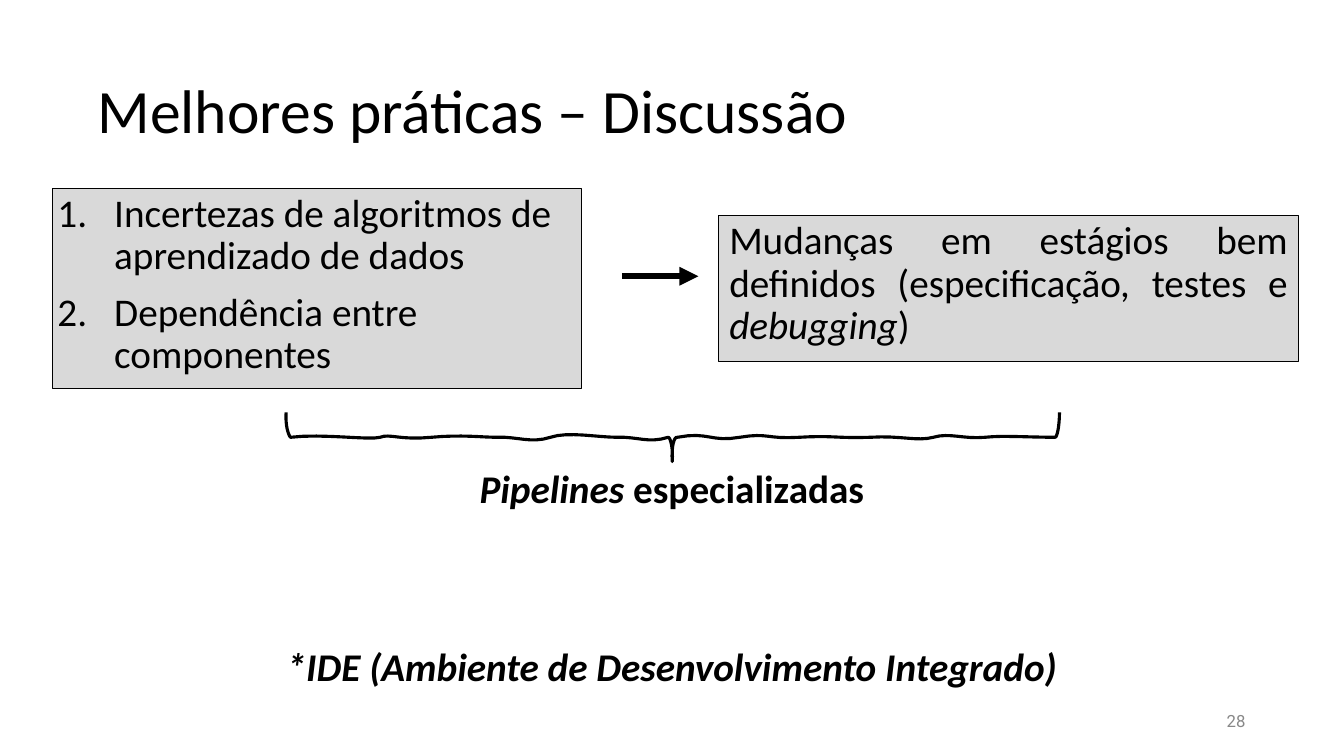
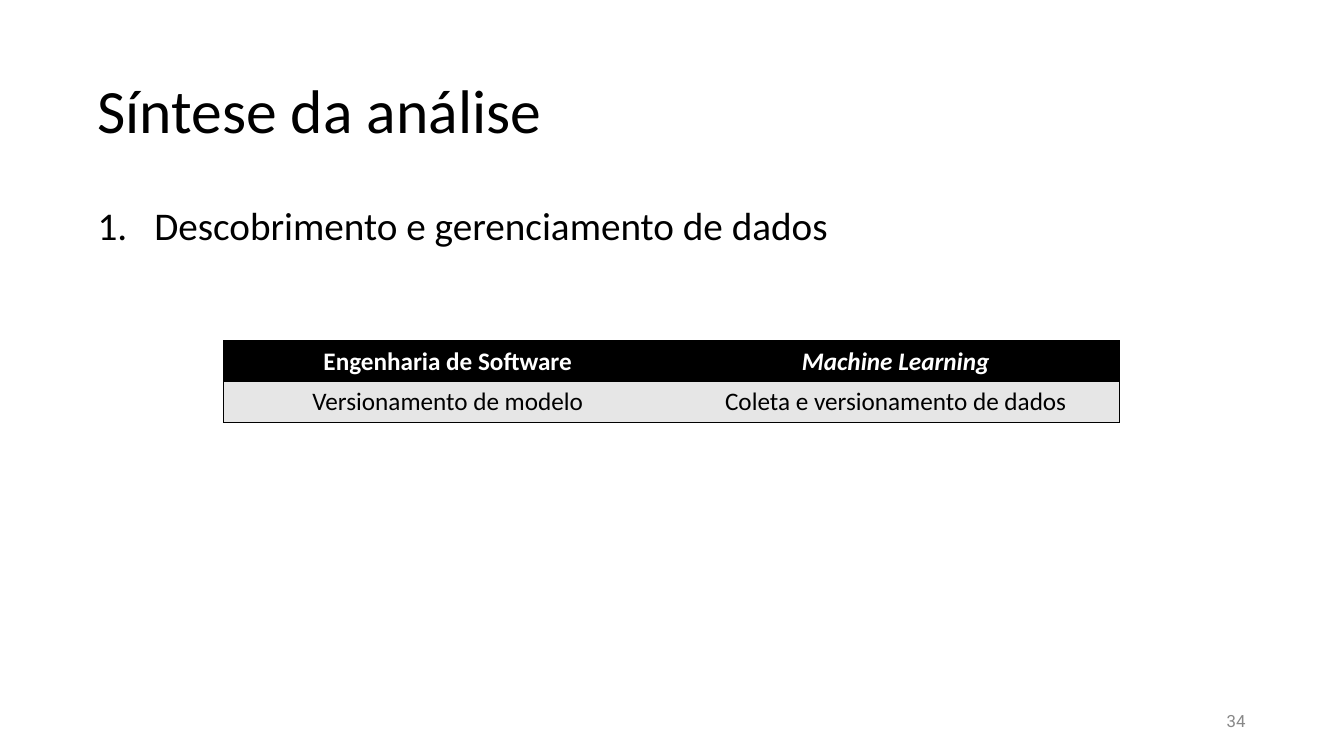
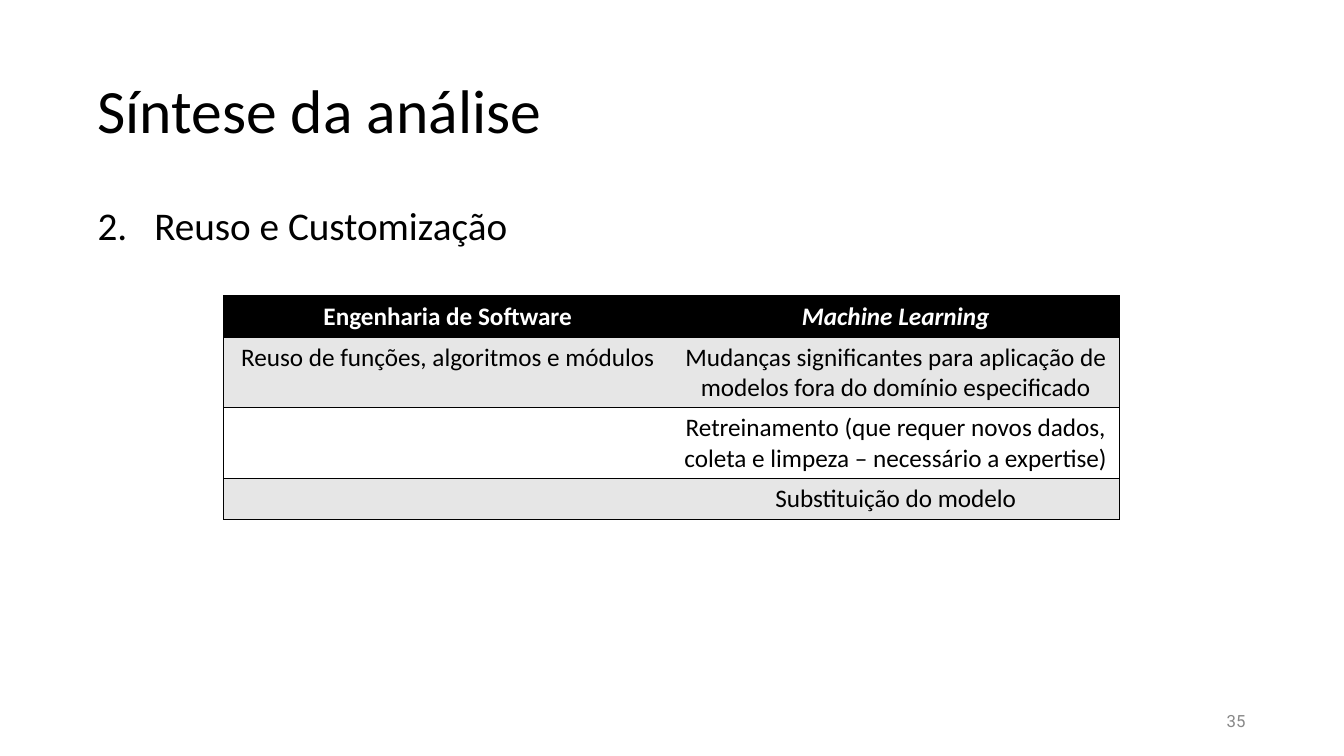
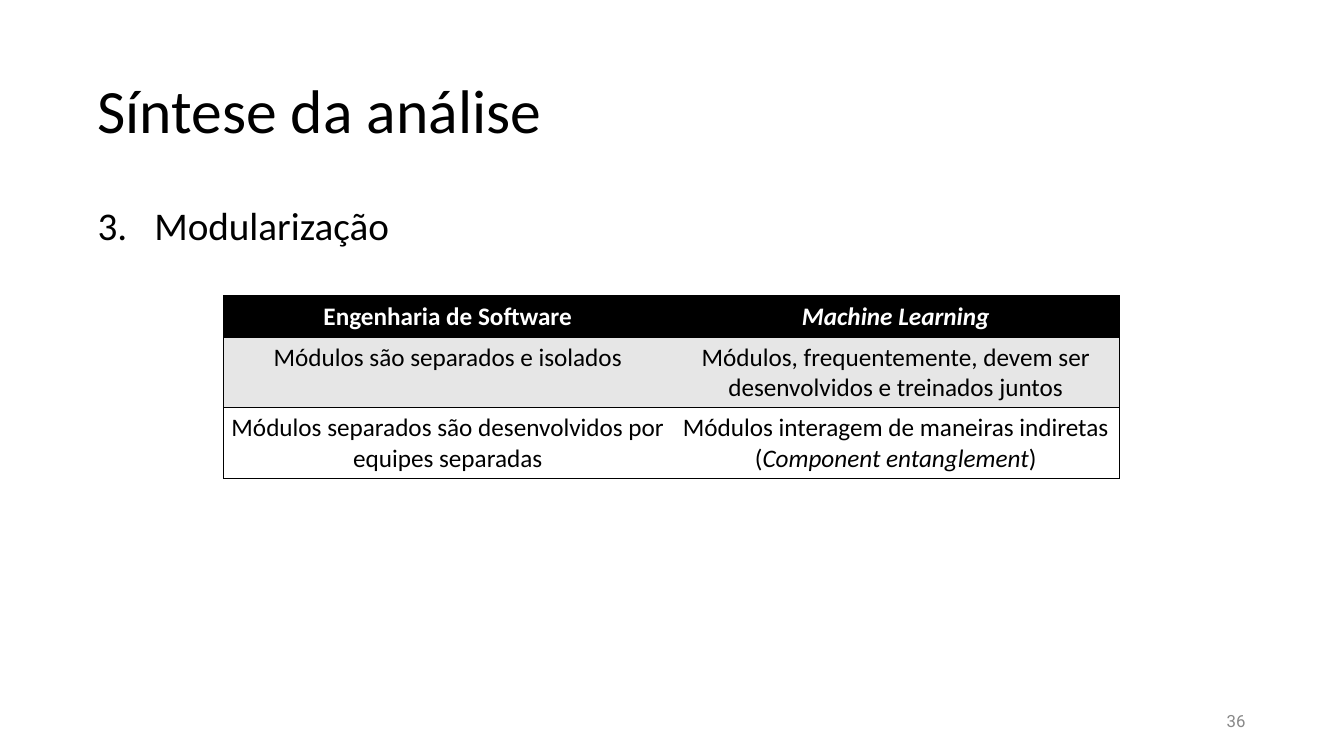
import pptx
import pptx.dml.color
import pptx.enum.shapes
import pptx.enum.text
import pptx.oxml
import pptx.oxml.ns
import pptx.util

Cm = pptx.util.Cm
Pt = pptx.util.Pt
RGBColor = pptx.dml.color.RGBColor
Align = pptx.enum.text.PP_ALIGN
Anchor = pptx.enum.text.MSO_ANCHOR
qn = pptx.oxml.ns.qn

BLACK = RGBColor(0x00, 0x00, 0x00)
WHITE = RGBColor(0xFF, 0xFF, 0xFF)
PANEL_GREY = RGBColor(0xD9, 0xD9, 0xD9)
BAND_GREY = RGBColor(0xE6, 0xE6, 0xE6)
NUMBER_GREY = RGBColor(0x88, 0x88, 0x88)

BODY_FONT = "Calibri"
NUMBER_FONT = "Roboto"
INSET = Cm(0.13)
INDENT = Cm(1.43)
CONTENT_LEFT, CONTENT_WIDTH = Cm(2.33), Cm(29.21)
TABLE_LEFT, COLUMN_WIDTH, ROW_HEIGHT = Cm(5.64), Cm(11.29), Cm(1.03)
CURVE_STEPS = 8

# Underscores delimit italic text.
DISCUSSION = {
    "title": "Melhores práticas – Discussão",
    "number": 28,
    "causes": [
        "Incertezas de algoritmos de aprendizado de dados",
        "Dependência entre componentes",
    ],
    "effect": "Mudanças em estágios bem definidos (especificação, testes e _debugging_)",
    "captions": [
        (Cm(11.71), "_Pipelines_ especializadas"),
        (Cm(16.18), "_*IDE (Ambiente de Desenvolvimento Integrado)_"),
    ],
}

SYNTHESIS_TITLE = "Síntese da análise"
TABLE_HEADER = ("Engenharia de Software", "_Machine Learning_")
SYNTHESIS = [
    (34, "Descobrimento e gerenciamento de dados", Cm(8.59), [
        ("Versionamento de modelo", "Coleta e versionamento de dados"),
    ]),
    (35, "Reuso e Customização", Cm(7.46), [
        ("Reuso de funções, algoritmos e módulos",
         "Mudanças significantes para aplicação de modelos fora do domínio especificado"),
        ("", "Retreinamento (que requer novos dados, coleta e limpeza – necessário a expertise)"),
        ("", "Substituição do modelo"),
    ]),
    (36, "Modularização", Cm(7.46), [
        ("Módulos são separados e isolados",
         "Módulos, frequentemente, devem ser desenvolvidos e treinados juntos"),
        ("Módulos separados são desenvolvidos por equipes separadas",
         "Módulos interagem de maneiras indiretas (_Component entanglement_)"),
    ]),
]

BRACE_START = (26.70, 10.39)
BRACE_CURVES = [
    ((26.70, 10.74), (26.64, 11.02), (26.59, 11.02)),
    ((25.81, 11.02), (25.35, 10.97), (24.82, 11.02)),
    ((24.28, 11.07), (23.93, 10.90), (23.52, 11.02)),
    ((23.11, 11.13), (22.71, 10.97), (21.92, 11.02)),
    ((21.13, 11.05), (20.98, 10.97), (20.14, 11.02)),
    ((19.30, 11.07), (19.38, 10.90), (18.64, 11.02)),
    ((17.91, 11.15), (17.86, 10.87), (17.07, 11.02)),
    ((16.99, 11.00), (16.92, 11.23), (16.94, 11.63)),
    ((16.97, 11.28), (16.89, 11.02), (16.84, 11.02)),
    ((16.33, 11.18), (16.08, 11.00), (15.54, 11.02)),
    ((15.04, 11.02), (14.33, 10.87), (13.87, 11.02)),
    ((13.39, 11.18), (13.03, 11.00), (12.55, 11.02)),
    ((12.09, 11.02), (11.66, 10.95), (10.87, 11.02)),
    ((10.08, 11.10), (9.83, 10.92), (9.58, 11.02)),
    ((9.30, 11.10), (8.13, 10.92), (7.32, 11.02)),
    ((7.26, 10.95), (7.19, 10.72), (7.21, 10.39)),
]


def fill_paragraph(paragraph, text, size, color=BLACK, font=BODY_FONT, bold=False,
                   align=Align.LEFT, spacing=0.9, number=None):
    paragraph.alignment = align
    paragraph.line_spacing = spacing
    if number:
        properties = paragraph._p.get_or_add_pPr()
        properties.set("marL", str(INDENT))
        properties.set("indent", str(-INDENT))
        bullet = pptx.oxml.parse_xml(
            f'<a:buAutoNum {pptx.oxml.ns.nsdecls("a")} type="arabicPeriod" startAt="{number}"/>')
        properties.append(bullet)
    paragraph.font.name = font
    paragraph.font.size = Pt(size)
    paragraph.font.bold = bold
    paragraph.font.color.rgb = color
    for position, part in enumerate(text.split("_")):
        if part:
            run = paragraph.add_run()
            run.text = part
            if position % 2:
                run.font.italic = True


def fill_frame(shape, texts, size, anchor=Anchor.TOP, side_inset=INSET, start=None, **style):
    frame = shape.text_frame
    frame.word_wrap = True
    frame.vertical_anchor = anchor
    frame.margin_left = frame.margin_right = side_inset
    frame.margin_top = frame.margin_bottom = INSET
    for index, text in enumerate(texts):
        paragraph = frame.add_paragraph() if index else frame.paragraphs[0]
        if index:
            paragraph.space_before = Pt(10)
        fill_paragraph(paragraph, text, size, number=start, **style)


def add_text(slide, box, text, size, **style):
    fill_frame(slide.shapes.add_textbox(*box), [text], size, **style)


def add_panel(slide, box, texts, **style):
    panel = slide.shapes.add_shape(pptx.enum.shapes.MSO_SHAPE.RECTANGLE, *box)
    panel.shadow.inherit = False
    panel.fill.solid()
    panel.fill.fore_color.rgb = PANEL_GREY
    panel.line.color.rgb = BLACK
    panel.line.width = Pt(0.75)
    fill_frame(panel, texts, 28, **style)


def add_arrow(slide, start, end):
    arrow = slide.shapes.add_connector(pptx.enum.shapes.MSO_CONNECTOR.STRAIGHT, *start, *end)
    arrow.line.color.rgb = BLACK
    arrow.line.width = Pt(4.5)
    head = arrow.line._get_or_add_ln().makeelement(qn("a:tailEnd"), {"type": "triangle"})
    arrow.line._get_or_add_ln().append(head)
    properties = arrow._element.spPr
    properties.append(properties.makeelement(qn("a:effectLst"), {}))


def curve_points(start, curves):
    for first, second, end in curves:
        for step in range(1, CURVE_STEPS + 1):
            t = step / CURVE_STEPS
            weights = ((1 - t) ** 3, 3 * t * (1 - t) ** 2, 3 * t * t * (1 - t), t ** 3)
            yield tuple(
                Cm(sum(weight * value for weight, value in zip(weights, values)))
                for values in zip(start, first, second, end))
        start = end


def add_brace(slide):
    builder = slide.shapes.build_freeform(*map(Cm, BRACE_START))
    builder.add_line_segments(list(curve_points(BRACE_START, BRACE_CURVES)), close=False)
    brace = builder.convert_to_shape()
    brace.shadow.inherit = False
    brace.fill.background()
    brace.line.color.rgb = BLACK
    brace.line.width = Pt(2.25)


def set_borders(cell, visible):
    properties = cell._tc.get_or_add_tcPr()
    for position, side in enumerate("LRTB"):
        paint = f'<a:solidFill><a:srgbClr val="{BLACK}"/></a:solidFill>' if side in visible else "<a:noFill/>"
        border = pptx.oxml.parse_xml(
            f'<a:ln{side} {pptx.oxml.ns.nsdecls("a")} w="{Pt(1)}">{paint}</a:ln{side}>')
        properties.insert(position, border)


def add_comparison(slide, top, body):
    rows = [TABLE_HEADER, *body]
    table = slide.shapes.add_table(
        len(rows), 2, TABLE_LEFT, top, 2 * COLUMN_WIDTH, len(rows) * ROW_HEIGHT).table
    for column in table.columns:
        column.width = COLUMN_WIDTH
    for row_index, texts in enumerate(rows):
        header = row_index == 0
        fill = BLACK if header else BAND_GREY if row_index % 2 else WHITE
        for column_index, text in enumerate(texts):
            cell = table.cell(row_index, column_index)
            cell.margin_left = cell.margin_right = cell.margin_top = cell.margin_bottom = INSET
            cell.fill.solid()
            cell.fill.fore_color.rgb = fill
            set_borders(cell, "RTB" if column_index else "LTB")
            fill_paragraph(cell.text_frame.paragraphs[0], text, 18, bold=header,
                           color=WHITE if header else BLACK, align=Align.CENTER, spacing=1.0)


def add_slide(presentation, title, number):
    slide = presentation.slides.add_slide(presentation.slide_layouts[6])
    add_text(slide, (CONTENT_LEFT, Cm(1.01), CONTENT_WIDTH, Cm(3.68)), title, 44,
             anchor=Anchor.MIDDLE)
    add_text(slide, (Cm(28), Cm(17.83), Cm(3.52), Cm(0.69)), str(number), 12,
             anchor=Anchor.MIDDLE, font=NUMBER_FONT, color=NUMBER_GREY,
             align=Align.RIGHT, spacing=1.0)
    return slide


def add_discussion(presentation):
    slide = add_slide(presentation, DISCUSSION["title"], DISCUSSION["number"])
    add_panel(slide, (Cm(1.32), Cm(4.75), Cm(13.34), Cm(5.05)), DISCUSSION["causes"], start=1)
    add_panel(slide, (Cm(18.11), Cm(5.44), Cm(14.61), Cm(3.68)), [DISCUSSION["effect"]],
              side_inset=Cm(0.27), align=Align.JUSTIFY)
    add_arrow(slide, (Cm(15.67), Cm(6.96)), (Cm(17.6), Cm(6.96)))
    add_brace(slide)
    for top, caption in DISCUSSION["captions"]:
        add_text(slide, (Cm(2.67), top, Cm(28.52), Cm(1.52)), caption, 28,
                 bold=True, align=Align.CENTER)


def add_synthesis(presentation):
    for topic_number, (number, topic, table_top, rows) in enumerate(SYNTHESIS, 1):
        slide = add_slide(presentation, SYNTHESIS_TITLE, number)
        add_text(slide, (CONTENT_LEFT, Cm(5.08), CONTENT_WIDTH, Cm(1.57)), topic, 28,
                 start=topic_number)
        add_comparison(slide, table_top, rows)


def main():
    presentation = pptx.Presentation()
    presentation.slide_width = Cm(33.87)
    presentation.slide_height = Cm(19.05)
    add_discussion(presentation)
    add_synthesis(presentation)
    presentation.save("out.pptx")


if __name__ == "__main__":
    main()
